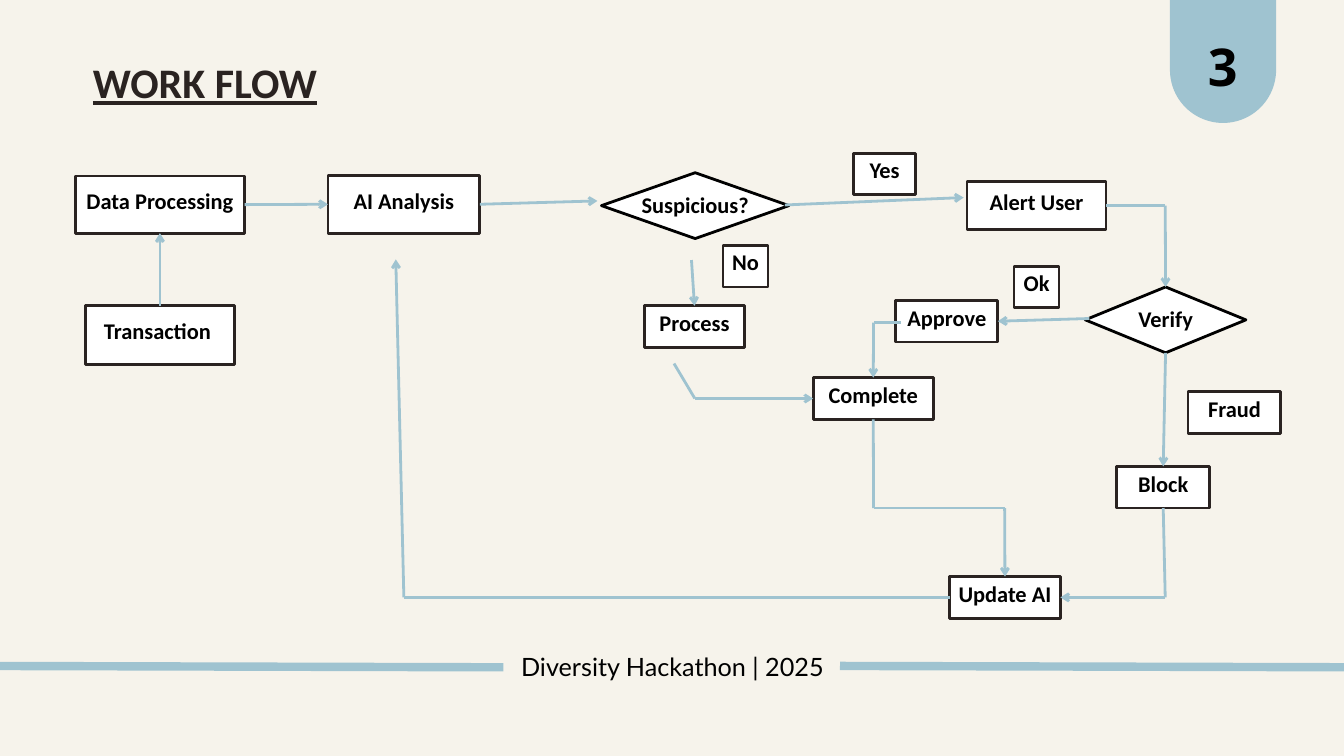
from itertools import pairwise

from pptx import Presentation
from pptx.dml.color import RGBColor
from pptx.enum.shapes import MSO_CONNECTOR, MSO_SHAPE
from pptx.enum.text import MSO_ANCHOR, PP_ALIGN
from pptx.oxml.ns import qn
from pptx.util import Inches, Pt
from lxml.etree import SubElement

COLORS = {
    "page": "F6F3EB",
    "accent": "9FC3D0",
    "ink": "2A2321",
    "black": "000000",
    "white": "FFFFFF",
}
COLUMNS, ROWS = 200, 112.5
CELL = Inches(20) / COLUMNS
TOP, LEFT, BOTTOM, RIGHT = range(4)

STEPS = {
    "Approve": (133.3, 44.7, 15.2, 6.2),
    "Update AI": (141.3, 85.8, 16.5, 6.2),
    "Transaction ": (12.7, 45.5, 22.2, 8.7),
    "Data Processing": (11.2, 26.2, 25.2, 8.5),
    "AI Analysis": (48.8, 26.1, 22.6, 8.6),
    "Alert User": (143.9, 27, 20.7, 7.2),
    "Fraud": (176.8, 58.3, 13.8, 6.2),
    "Process": (95.9, 45.5, 14.9, 6.2),
    "Complete": (121, 56.2, 17.9, 6.2),
    "No": (107.6, 36.5, 6.7, 6.2),
    "Yes": (127, 22.8, 9.3, 6.2),
    "Block": (166.2, 69.4, 13.8, 6.2),
    "Ok": (150.9, 39.6, 6.7, 6.2),
}
DECISIONS = {
    "Suspicious?": (89.5, 25.7, 27.9, 9.8),
    "Verify": (161.5, 42.7, 23.9, 9.8),
}
ROUTES = [
    [("Transaction ", TOP), ("Data Processing", BOTTOM)],
    [("Data Processing", RIGHT), ("AI Analysis", LEFT)],
    [("AI Analysis", RIGHT), (88.9, 29.9)],
    [(116.8, 30.5), (143.4, 29.4)],
    [(102.9, 38.7), ("Process", TOP)],
    [(100.3, 54.1), (103.4, 59.3), ("Complete", LEFT)],
    [("Alert User", RIGHT), (173.4, 30.6), ("Verify", TOP)],
    [(162.1, 47.4), ("Approve", RIGHT)],
    [("Verify", BOTTOM), ("Block", TOP)],
    [(134.1, 48), (130, 48), ("Complete", TOP)],
    [("Complete", BOTTOM), (130, 75.6), (149.5, 75.6), ("Update AI", TOP)],
    [("Block", BOTTOM), (173.4, 88.9), ("Update AI", RIGHT)],
    [("Update AI", LEFT), (60.1, 88.9), (58.9, 38.6)],
]


def cells(*values):
    return [round(value * CELL) for value in values]


def color(name):
    return RGBColor.from_string(COLORS[name])


def write(shape, text, size, font="Calibri", spacing=1.4, ink="black", bold=True, underline=False):
    frame = shape.text_frame
    frame.text = text
    para = frame.paragraphs[0]
    para.alignment = PP_ALIGN.CENTER
    para.line_spacing = Pt(size * spacing)
    span = para.runs[0]
    span.font.name = font
    span.font.size = Pt(size)
    span.font.bold = bold
    span.font.underline = underline
    span.font.color.rgb = color(ink)


def set_insets(frame, bottom=0):
    frame.margin_left = frame.margin_right = frame.margin_top = 0
    frame.margin_bottom = cells(bottom)[0]


def add_label(page, place, text, size, **style):
    box = page.shapes.add_textbox(*cells(*place))
    set_insets(box.text_frame)
    box.text_frame.word_wrap = True
    write(box, text, size, **style)


def add_node(page, kind, place, text, outline, lift):
    node = page.shapes.add_shape(kind, *cells(*place))
    node.shadow.inherit = False
    node.fill.solid()
    node.fill.fore_color.rgb = color("white")
    node.line.color.rgb = color(outline)
    node.line.width = Pt(3)
    frame = node.text_frame
    set_insets(frame, lift)
    frame.word_wrap = False
    frame.vertical_anchor = MSO_ANCHOR.MIDDLE
    write(node, text, 24)
    return node


def add_line(page, start, end, width=3, arrow=False):
    line = page.shapes.add_connector(MSO_CONNECTOR.STRAIGHT, *cells(*start, *end))
    line.line.color.rgb = color("accent")
    line.line.width = Pt(width)
    if arrow:
        SubElement(line.line._get_or_add_ln(), qn("a:tailEnd"), type="arrow")
    SubElement(line._element.spPr, qn("a:effectLst"))
    return line


def locate(stop):
    name, side = stop
    if not isinstance(name, str):
        return stop
    left, top, width, height = (STEPS | DECISIONS)[name]
    across, down = [(0.5, 0), (0, 0.5), (0.5, 1), (1, 0.5)][side]
    return left + across * width, top + down * height


def add_route(page, stops, nodes):
    for start, end in pairwise(stops):
        line = add_line(page, locate(start), locate(end), arrow=end == stops[-1])
        if start[0] in nodes:
            line.begin_connect(nodes[start[0]], start[1])
        if end[0] in nodes:
            line.end_connect(nodes[end[0]], end[1])


def add_number_tab(page):
    tab = page.shapes.add_shape(MSO_SHAPE.ROUND_2_SAME_RECTANGLE, *cells(174.1, 0, 15.8, 18.3))
    tab.adjustments[0], tab.adjustments[1] = 0, 0.5
    tab.shadow.inherit = False
    tab.fill.solid()
    tab.fill.fore_color.rgb = color("accent")
    tab.line.fill.background()
    add_label(page, (173.4, 3.6, 17.1, 10.2), "3", 55.8, font="Open Sans")


def add_footer(page):
    add_label(page, (62.4, 96.2, 75.3, 5.1), "Diversity Hackathon | 2025", 27, font="Lato", bold=False)
    for left in (-2.8, 125):
        add_line(page, (left, 99.1), (left + 77.7, 99.3), width=9)


def main():
    deck = Presentation()
    deck.slide_width, deck.slide_height = cells(COLUMNS, ROWS)
    page = deck.slides.add_slide(deck.slide_layouts[6])
    page.background.fill.solid()
    page.background.fill.fore_color.rgb = color("page")

    add_footer(page)
    add_number_tab(page)
    add_label(page, (-2.8, 7.2, 66.6, 8.5), "WORK FLOW", 45, ink="ink", underline=True)

    nodes = {}
    for name, place in STEPS.items():
        nodes[name] = add_node(page, MSO_SHAPE.RECTANGLE, place, name, "ink", 1.9)
    for name, place in DECISIONS.items():
        nodes[name] = add_node(page, MSO_SHAPE.DIAMOND, place, name, "black", 1.1)
    for stops in ROUTES:
        add_route(page, stops, nodes)

    deck.save("out.pptx")


if __name__ == "__main__":
    main()
